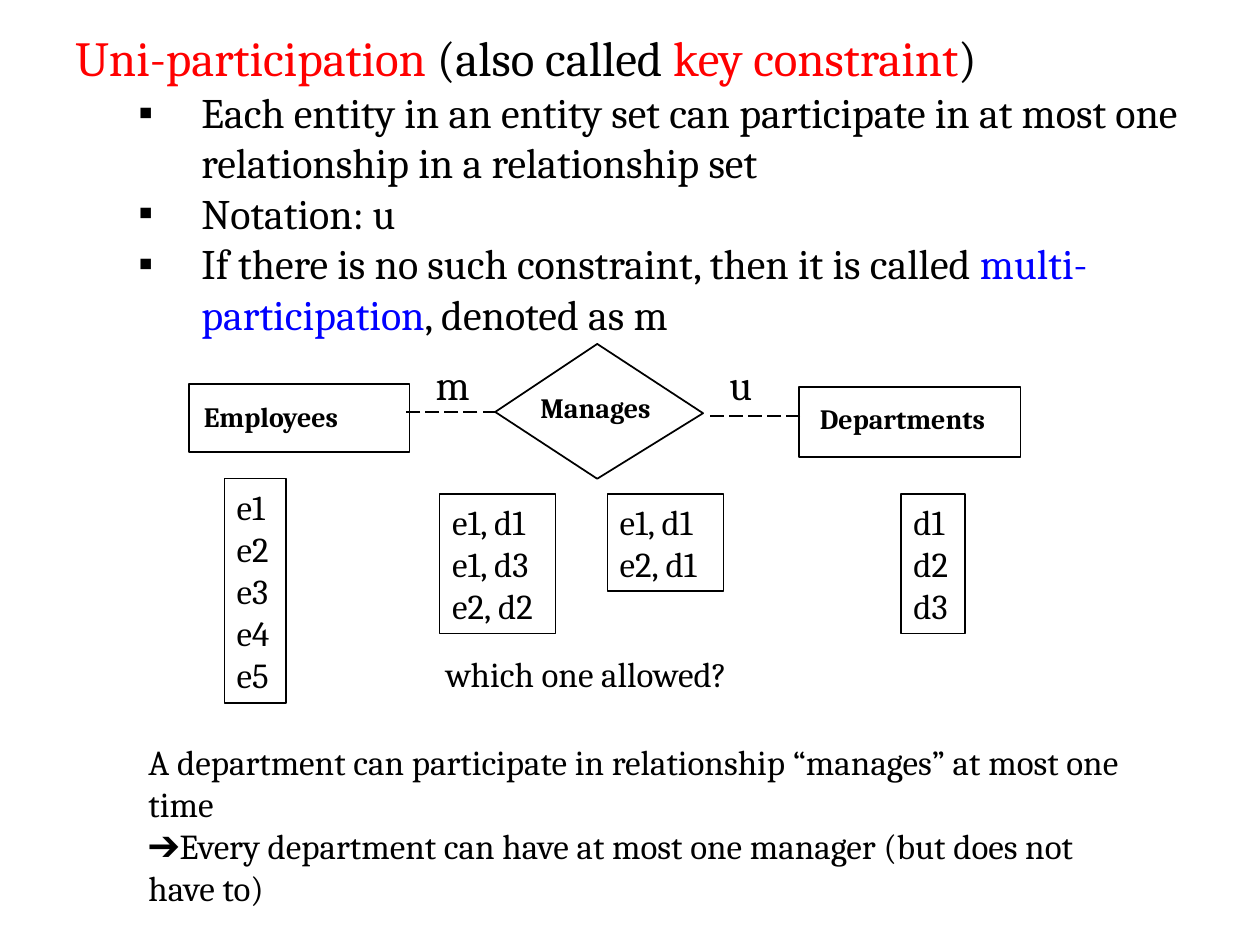
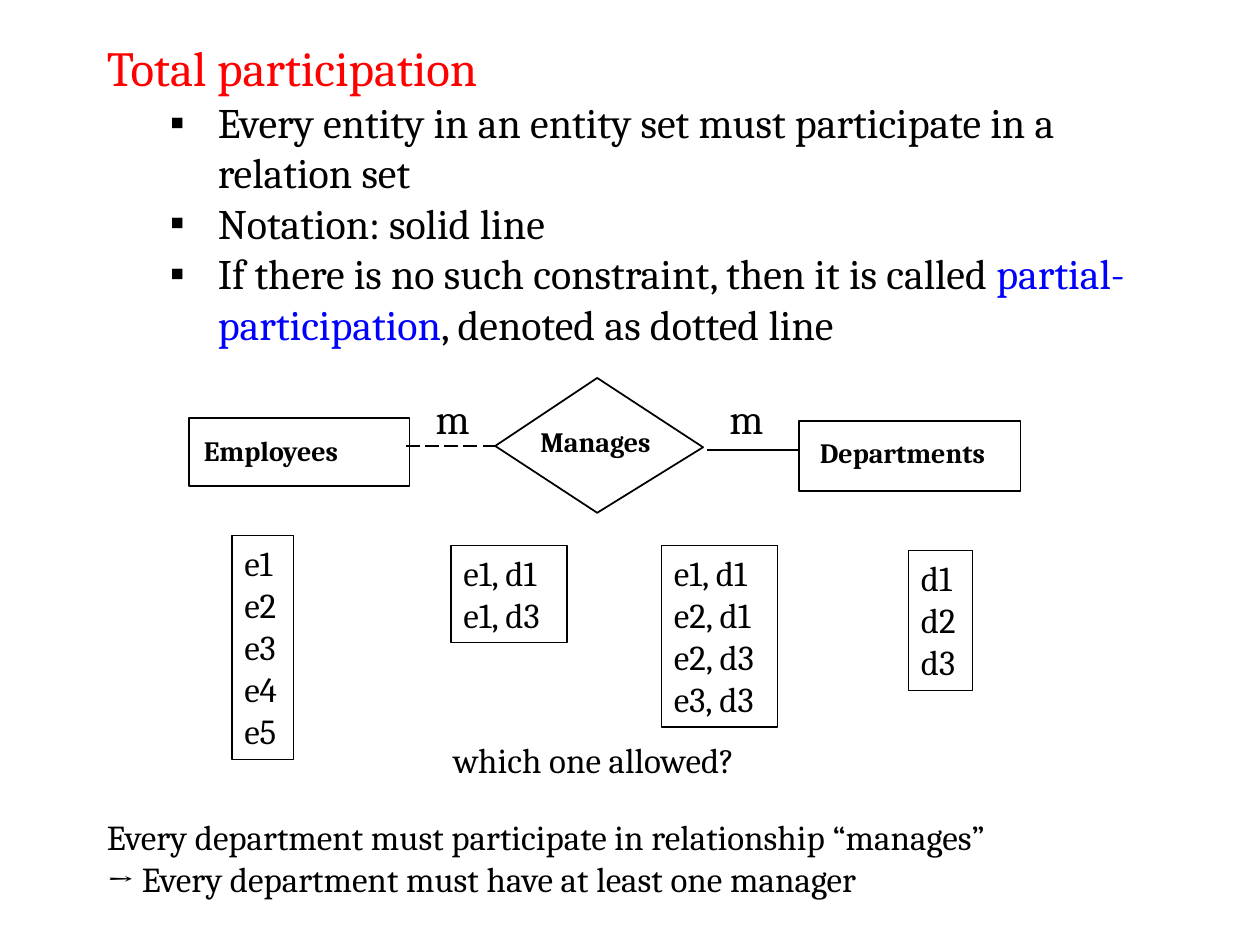
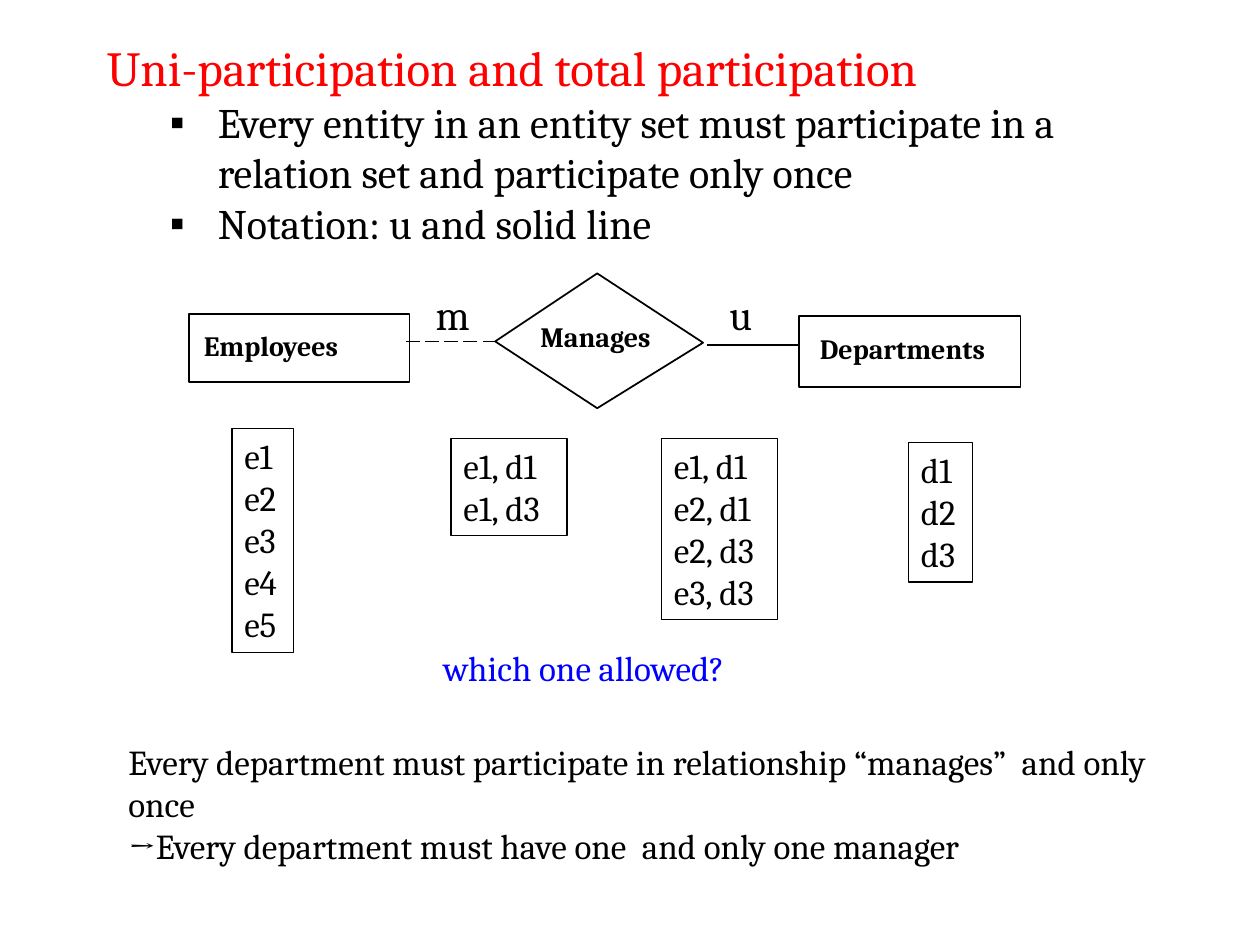
"""Build three slides on participation constraints in entity-relationship models."""
from lxml import etree
from pptx import Presentation
from pptx.dml.color import RGBColor
from pptx.enum.dml import MSO_LINE
from pptx.enum.shapes import MSO_CONNECTOR, MSO_SHAPE
from pptx.enum.text import MSO_AUTO_SIZE
from pptx.oxml.ns import qn
from pptx.util import Pt

PX = 9144
FONT = "Cambria"
BLACK = RGBColor(0, 0, 0)
RED = RGBColor(255, 0, 0)
BLUE = RGBColor(0, 0, 255)
QUESTION = "which one allowed?"
EMPLOYEES = ["e1", "e2", "e3", "e4", "e5"]
DEPARTMENTS = ["d1", "d2", "d3"]
FIRST_PAIRS = ["e1, d1", "e1, d3"]
SECOND_PAIRS = ["e1, d1", "e2, d1", "e2, d3", "e3, d3"]


def add_text(shapes, bounds, paragraphs, size=20, bold=False, wrap=False):
    box = shapes.add_textbox(*(value * PX for value in bounds))
    frame = box.text_frame
    frame.word_wrap = wrap
    frame.auto_size = MSO_AUTO_SIZE.SHAPE_TO_FIT_TEXT
    for index, runs in enumerate(paragraphs):
        paragraph = frame.add_paragraph() if index else frame.paragraphs[0]
        for text, color in runs:
            run = paragraph.add_run()
            run.text = text
            run.font.name = FONT
            run.font.size = Pt(size)
            run.font.bold = bold
            run.font.color.rgb = color
    return box


def outline(shape):
    shape.shadow.inherit = False
    shape.fill.background()
    shape.line.color.rgb = BLACK
    shape.line.width = Pt(1)


slides = [
    {
        "heading": (50, 17, 933, 259),
        "indent": (100, 50),
        "lines": [
            [("Uni-participation ", RED), ("(also called ", BLACK), ("key constraint", RED), (")", BLACK)],
            [("Each entity in an entity set can participate in at most one relationship in a relationship set", BLACK)],
            [("Notation: u", BLACK)],
            [("If there is no such constraint, then it is called ", BLACK), ("multi-participation", BLUE),
             (", denoted as m", BLACK)],
        ],
        "diagram_top": 273,
        "right_mark": "u",
        "right_dash": MSO_LINE.LONG_DASH,
        "sets": [(178, 380, 49, EMPLOYEES), (349, 392, 92, FIRST_PAIRS + ["e2, d2"]),
                 (715, 392, 51, DEPARTMENTS), (482, 392, 92, ["e1, d1", "e2, d1"])],
        "question": (344, 513, BLACK),
        "note": (108, 583, 792, 145),
        "note_lines": ["A department can participate in relationship “manages” at most one time",
                       "➔Every department can have at most one manager (but does not have to)"],
    },
    {
        "heading": (75, 25, 842, 340),
        "indent": (88, 38),
        "lines": [
            [("Total participation", RED)],
            [("Every entity in an entity set must participate in a relation set", BLACK)],
            [("Notation: solid line", BLACK)],
            [("If there is no such constraint, then it is called ", BLACK), ("partial-participation", BLUE),
             (", denoted as dotted line", BLACK)],
        ],
        "diagram_top": 300,
        "right_mark": "m",
        "right_dash": MSO_LINE.SOLID,
        "sets": [(184, 425, 49, EMPLOYEES), (358, 433, 92, FIRST_PAIRS),
                 (721, 437, 51, DEPARTMENTS), (525, 433, 92, SECOND_PAIRS)],
        "question": (350, 581, BLACK),
        "note": (75, 642, 867, 77),
        "note_lines": ["Every department must participate in relationship “manages”",
                       "→ Every department must have at least one manager"],
    },
    {
        "heading": (75, 25, 842, 219),
        "indent": (88, 38),
        "lines": [
            [("Uni-participation and total participation", RED)],
            [("Every entity in an entity set must participate in a relation set and participate only once", BLACK)],
            [("Notation: u and solid line", BLACK)],
        ],
        "diagram_top": 217,
        "right_mark": "u",
        "right_dash": MSO_LINE.SOLID,
        "sets": [(184, 340, 49, EMPLOYEES), (358, 348, 92, FIRST_PAIRS),
                 (721, 351, 51, DEPARTMENTS), (525, 348, 92, SECOND_PAIRS)],
        "question": (342, 508, BLUE),
        "note": (92, 583, 842, 111),
        "note_lines": ["Every department must participate in relationship “manages”  and only once",
                       "→Every department must have one  and only one manager"],
    },
]

presentation = Presentation()
presentation.slide_width = 1000 * PX
presentation.slide_height = 750 * PX

for content in slides:
    slide = presentation.slides.add_slide(presentation.slide_layouts[6])

    heading = add_text(slide.shapes, content["heading"], content["lines"], size=28, wrap=True)
    margin, hanging = content["indent"]
    for paragraph in heading.text_frame.paragraphs[1:]:
        paragraph.level = 1
        for run in paragraph.runs:
            run.font.size = Pt(24)
        properties = paragraph._p.get_or_add_pPr()
        properties.set("marL", str(margin * PX))
        properties.set("indent", str(-hanging * PX))
        etree.SubElement(properties, qn("a:buFont"), typeface="Arial")
        etree.SubElement(properties, qn("a:buChar"), char="▪")

    top = content["diagram_top"]
    diagram = slide.shapes.add_group_shape().shapes
    builder = diagram.build_freeform(393, top + 54, scale=PX)
    builder.add_line_segments([(474, top), (558, top + 55), (474, top + 107)], close=True)
    outline(builder.convert_to_shape())
    for left, offset, width, height in [(634, 34, 176, 56), (150, 32, 175, 54)]:
        outline(diagram.add_shape(MSO_SHAPE.RECTANGLE, left * PX, (top + offset) * PX, width * PX, height * PX))
    for name, left, offset, width in [("Manages", 419, 32, 110), ("Employees", 152, 39, 132),
                                      ("Departments", 641, 41, 156)]:
        add_text(diagram, (left, top + offset, width, 37), [[(name, BLACK)]], size=16, bold=True)
    for start, end, offset, dash in [(394, 320, 54, MSO_LINE.LONG_DASH), (635, 561, 57, content["right_dash"])]:
        level = (top + offset) * PX
        link = diagram.add_connector(MSO_CONNECTOR.STRAIGHT, start * PX, level, end * PX, level)
        link.line.color.rgb = BLACK
        link.line.width = Pt(1)
        link.line.dash_style = dash
        etree.SubElement(link._element.spPr, qn("a:effectLst"))
    for mark, left in [("m", 336), (content["right_mark"], 569)]:
        add_text(diagram, (left, top + 7, 50, 50), [[(mark, BLACK)]], size=24, wrap=True)

    for left, set_top, width, members in content["sets"]:
        height = 10 + 337 * len(members) // 10
        members_box = add_text(slide.shapes, (left, set_top, width, height), [[(member, BLACK)] for member in members])
        members_box.line.color.rgb = BLACK
        members_box.line.width = Pt(0.75)

    left, question_top, color = content["question"]
    add_text(slide.shapes, (left, question_top, 266, 44), [[(QUESTION, color)]])
    add_text(slide.shapes, content["note"], [[(line, BLACK)] for line in content["note_lines"]], wrap=True)

presentation.save("out.pptx")
